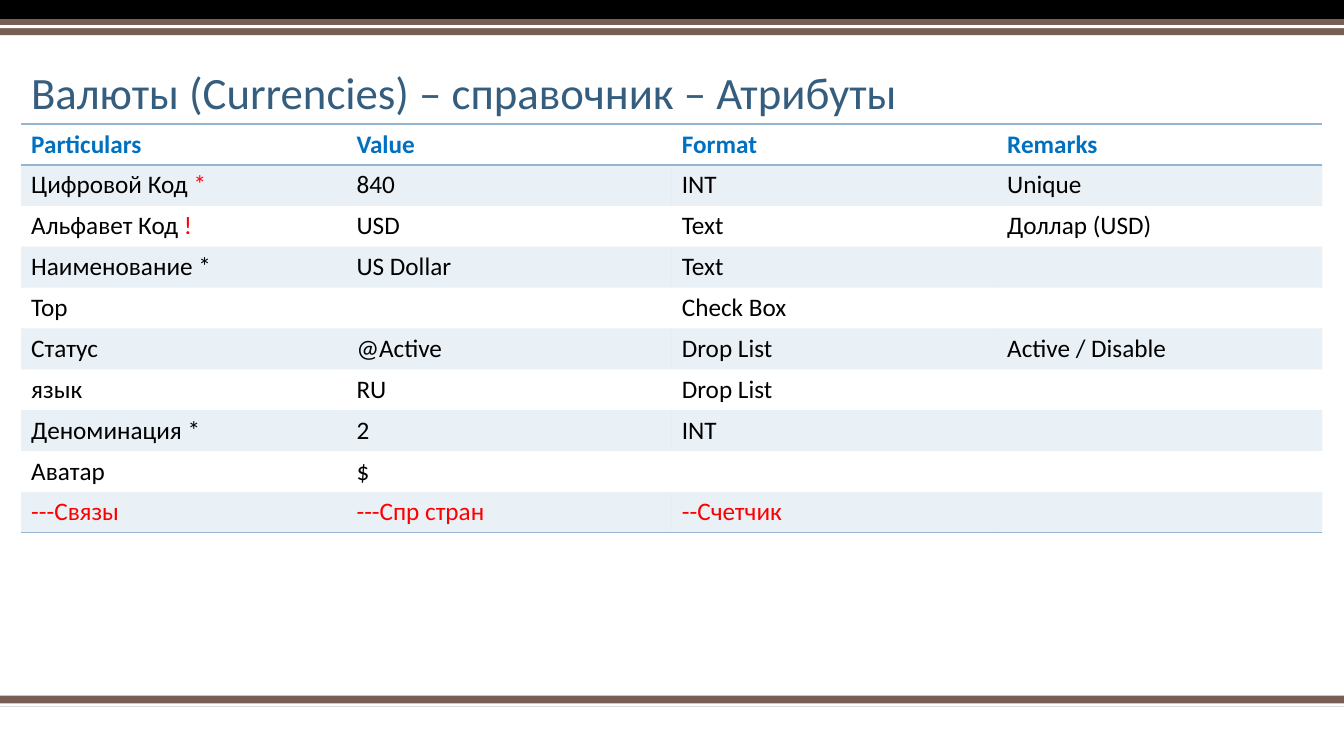
from lxml import etree
from pptx import Presentation
from pptx.dml.color import RGBColor
from pptx.enum.shapes import MSO_SHAPE
from pptx.enum.text import MSO_ANCHOR
from pptx.oxml.ns import qn
from pptx.util import Pt

RECT = MSO_SHAPE.RECTANGLE
BOTTOM = MSO_ANCHOR.BOTTOM

BLACK = RGBColor(0x00, 0x00, 0x00)
WHITE = RGBColor(0xFF, 0xFF, 0xFF)
BROWN = RGBColor(0x77, 0x5F, 0x55)
NAVY = RGBColor(0x35, 0x5D, 0x7E)
BLUE = RGBColor(0x00, 0x70, 0xC0)
RED = RGBColor(0xFF, 0x00, 0x00)
PALE = RGBColor(0x94, 0xB6, 0xD2)

NO_STYLE = "{2D5ABB26-0587-4C30-8999-92F81FD0307C}"


def add_text(p, text, size=18, color=BLACK, bold=False):
    r = p.add_run()
    r.text = text
    r.font.name = "Calibri"
    r.font.size = Pt(size)
    r.font.bold = bold
    r.font.color.rgb = color


def add_border(cell, tag):
    ln = etree.SubElement(cell._tc.get_or_add_tcPr(), qn(tag), w=str(Pt(1)))
    fill = etree.SubElement(ln, qn("a:solidFill"))
    etree.SubElement(fill, qn("a:srgbClr"), val=str(PALE))


prs = Presentation()
prs.slide_width, prs.slide_height = Pt(960), Pt(540)
s = prs.slides.add_slide(prs.slide_layouts[6])

# Bands at the bottom and top: top, height, colour
bands = [
    (496.8, 7.9, BROWN),
    (502.5, 2.2, WHITE),
    (0, 13.7, BLACK),
    (13.7, 11.5, BROWN),
    (18, 2.2, WHITE),
]
for top, height, color in bands:
    sp = s.shapes.add_shape(RECT, 0, Pt(top), prs.slide_width, Pt(height))
    sp.shadow.inherit = False
    sp.fill.solid()
    sp.fill.fore_color.rgb = color
    sp.line.fill.background()

# Title
tf = s.shapes.add_textbox(Pt(15.1), Pt(31.7), Pt(825), Pt(56.9)).text_frame
tf.word_wrap = True
tf.vertical_anchor = BOTTOM
p = tf.paragraphs[0]
p.line_spacing = 0.9
add_text(p, "Валюты (Currencies) – справочник – Атрибуты", size=32, color=NAVY)

# Attribute table
rows = [
    ("Particulars", "Value", "Format", "Remarks"),
    ("Цифровой Код ", "840", "INT", "Unique"),
    ("Альфавет Код ", "USD", "Text", "Доллар (USD)"),
    ("Наименование *", "US Dollar", "Text", ""),
    ("Тор", "", "Check Box", ""),
    ("Статус", "@Active", "Drop List", "Active / Disable"),
    ("язык", "RU", "Drop List", ""),
    ("Деноминация *", "2", "INT", ""),
    ("Аватар", "$", "", ""),
    ("---Связы", "---Спр стран", "--Счетчик", ""),
]
red_marks = {1: "*", 2: "!"}
last = len(rows) - 1
row_height = 29.2

table = s.shapes.add_table(len(rows), 4, Pt(15.1), Pt(88.6), Pt(929.6),
                           Pt(row_height * len(rows))).table
table._tbl.tblPr.find(qn("a:tableStyleId")).text = NO_STYLE
for col in table.columns:
    col.width = Pt(232.4)

for i, row in enumerate(rows):
    table.rows[i].height = Pt(row_height)
    color = {0: BLUE, last: RED}.get(i, BLACK)
    for j, text in enumerate(row):
        cell = table.cell(i, j)
        p = cell.text_frame.paragraphs[0]
        if text:
            add_text(p, text, color=color, bold=i == 0)
        if j == 0 and i in red_marks:
            add_text(p, red_marks[i], color=RED)

        # Rules around the header and under the last row
        if i == 0:
            add_border(cell, "a:lnT")
        if i in (0, last):
            add_border(cell, "a:lnB")

        # Odd rows carry a 20% tint
        if i % 2:
            cell.fill.solid()
            cell.fill.fore_color.rgb = PALE
            tint = cell._tc.tcPr.find(qn("a:solidFill")).find(qn("a:srgbClr"))
            etree.SubElement(tint, qn("a:alpha"), val="20000")
        else:
            cell.fill.background()

prs.save("out.pptx")
